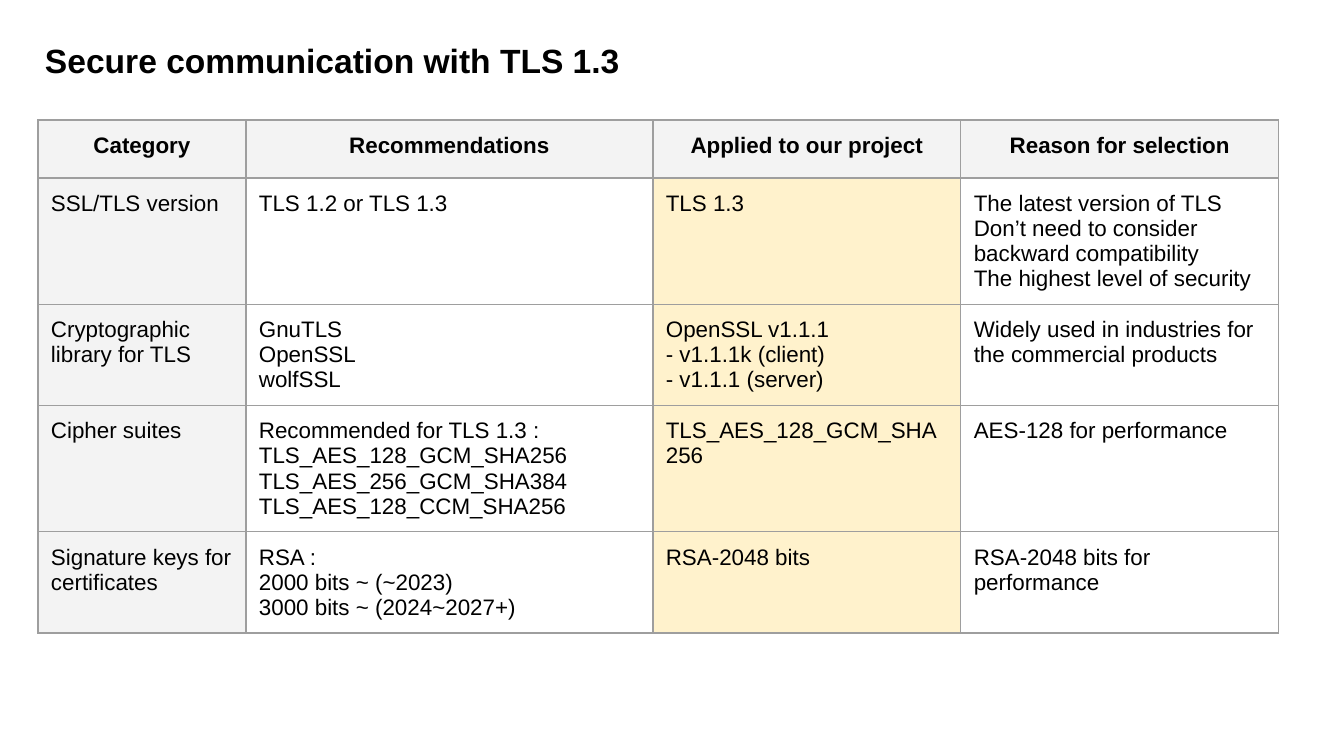
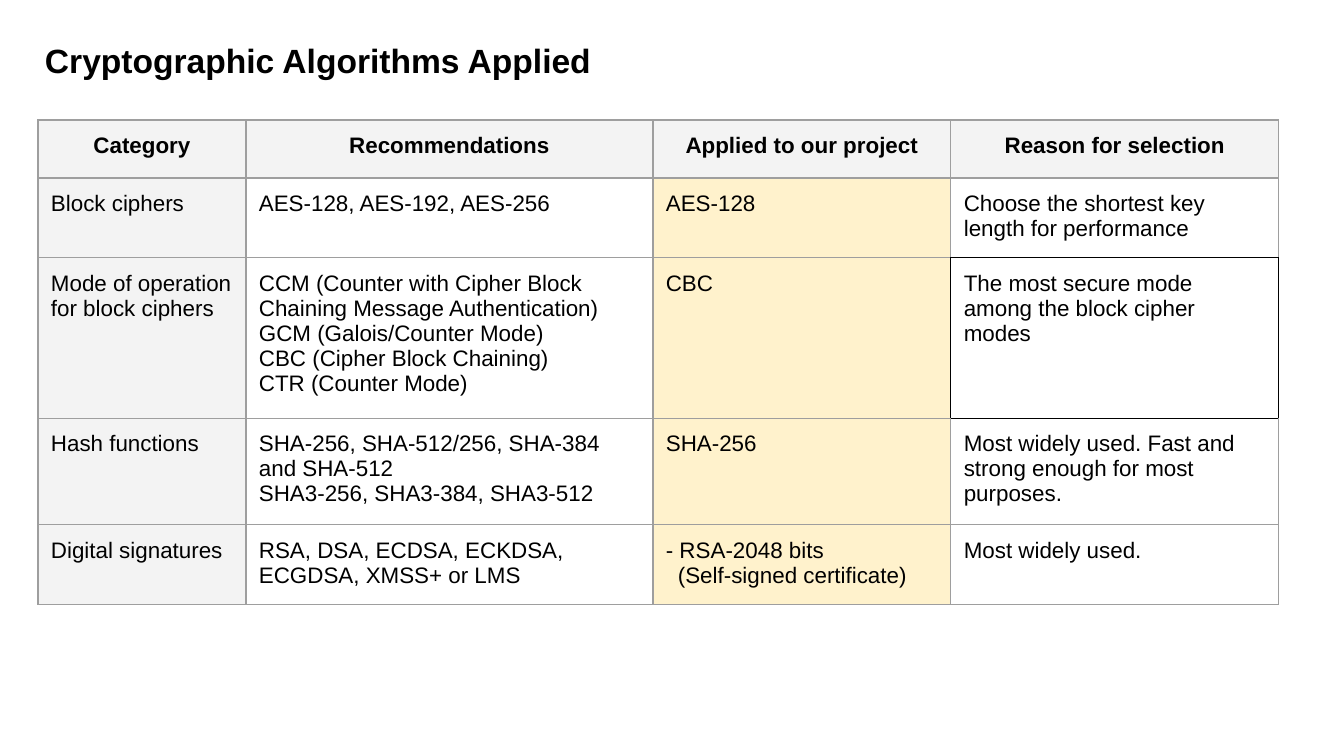
from dataclasses import dataclass

from lxml import etree
from pptx import Presentation
from pptx.dml.color import RGBColor
from pptx.enum.text import MSO_AUTO_SIZE, PP_ALIGN
from pptx.oxml.ns import qn
from pptx.util import Pt

CENTER, LEFT = PP_ALIGN.CENTER, PP_ALIGN.LEFT
FIT_SHAPE = MSO_AUTO_SIZE.SHAPE_TO_FIT_TEXT

HEADINGS = ("Category", "Recommendations", "Applied to our project", "Reason for selection")
APPLIED = HEADINGS.index("Applied to our project")

# Rows hold one string per column; each line of a string is a paragraph.
# "outlined" lists (row, column), "indented" lists (row, column, paragraph).
SLIDES = [
    {
        "title": "Secure communication with TLS 1.3",
        "columns": (208, 407, 308, 318),
        "heights": (58, 57, 57, 57, 57),
        "rows": [
            ("SSL/TLS version", "TLS 1.2 or TLS 1.3", "TLS 1.3",
             "The latest version of TLS\nDon’t need to consider backward compatibility\n"
             "The highest level of security"),
            ("Cryptographic library for TLS", "GnuTLS\nOpenSSL\nwolfSSL",
             "OpenSSL v1.1.1\n- v1.1.1k (client)\n- v1.1.1 (server)",
             "Widely used in industries for the commercial products"),
            ("Cipher suites",
             "Recommended for TLS 1.3 :\nTLS_AES_128_GCM_SHA256\n"
             "TLS_AES_256_GCM_SHA384\nTLS_AES_128_CCM_SHA256",
             "TLS_AES_128_GCM_SHA256", "AES-128 for performance"),
            ("Signature keys for certificates",
             "RSA :\n2000 bits ~ (~2023)\n3000 bits ~ (2024~2027+)",
             "RSA-2048 bits", "RSA-2048 bits for performance"),
        ],
        "outlined": [],
        "indented": [],
    },
    {
        "title": "Cryptographic Algorithms Applied",
        "columns": (208, 407, 298, 328),
        "heights": (58, 57, 132, 57, 57),
        "rows": [
            ("Block ciphers", "AES-128, AES-192, AES-256", "AES-128",
             "Choose the shortest key length for performance"),
            ("Mode of operation for block ciphers",
             "CCM (Counter with Cipher Block Chaining Message Authentication)\n"
             "GCM (Galois/Counter Mode)\nCBC (Cipher Block Chaining)\nCTR (Counter Mode)",
             "CBC", "The most secure mode among the block cipher modes"),
            ("Hash functions",
             "SHA-256, SHA-512/256, SHA-384 and SHA-512\nSHA3-256, SHA3-384, SHA3-512",
             "SHA-256", "Most widely used. Fast and strong enough for most purposes."),
            ("Digital signatures", "RSA, DSA, ECDSA, ECKDSA, ECGDSA, XMSS+ or LMS",
             "- RSA-2048 bits\n(Self-signed certificate)", "Most widely used."),
        ],
        "outlined": [(2, 3)],
        "indented": [(4, 2, 1)],
    },
]


@dataclass(frozen=True)
class Theme:
    font: str = "Arial"
    ink: str = "000000"
    label_fill: str = "F3F3F3"
    applied_fill: str = "FFF2CC"
    grid: str = "9E9E9E"
    outline: str = "000000"
    title_size: int = 18
    cell_size: int = 12
    border_width: float = 0.75


THEME = Theme()
PX_PER_INCH = 134.4
SLIDE_SIZE = (1344, 756)
TITLE_BOX = (32, 27, 1064, 67)
TABLE_CORNER = (38, 120)
INSET = 13
INDENT = 12
# Each border tag with the (row, column) step to the neighbour it is shared with.
SIDES = (("a:lnL", 0, -1), ("a:lnR", 0, 1), ("a:lnT", -1, 0), ("a:lnB", 1, 0))


def px(length):
    return round(length * 914400 / PX_PER_INCH)


def set_insets(target):
    target.margin_left = target.margin_right = px(INSET)
    target.margin_top = target.margin_bottom = px(INSET)


def write(frame, text, size, bold, align=LEFT):
    frame.text = text
    frame.word_wrap = True
    for paragraph in frame.paragraphs:
        paragraph.alignment = align
        for run in paragraph.runs:
            run.font.name = THEME.font
            run.font.size = Pt(size)
            run.font.bold = bold
            run.font.color.rgb = RGBColor.from_string(THEME.ink)


def add_title(slide, title):
    box = slide.shapes.add_textbox(*map(px, TITLE_BOX))
    set_insets(box.text_frame)
    write(box.text_frame, title, THEME.title_size, True)
    box.text_frame.auto_size = FIT_SHAPE


def draw_borders(cell, row, column, outlined):
    """Draw the grid, darkening every side that touches an outlined cell."""
    properties = cell._tc.get_or_add_tcPr()
    for tag, down, right in SIDES:
        touches = (row, column) in outlined or (row + down, column + right) in outlined
        line = etree.SubElement(properties, qn(tag), w=str(Pt(THEME.border_width)))
        fill = etree.SubElement(line, qn("a:solidFill"))
        etree.SubElement(fill, qn("a:srgbClr"), val=THEME.outline if touches else THEME.grid)


def fill_cell(cell, row, column):
    if row == 0 or column == 0:
        color = THEME.label_fill
    elif column == APPLIED:
        color = THEME.applied_fill
    else:
        cell.fill.background()
        return
    cell.fill.solid()
    cell.fill.fore_color.rgb = RGBColor.from_string(color)


def add_comparison(slide, content):
    rows = [HEADINGS, *content["rows"]]
    widths, heights = content["columns"], content["heights"]
    table = slide.shapes.add_table(
        len(rows), len(HEADINGS), *map(px, TABLE_CORNER), px(sum(widths)), px(sum(heights))
    ).table
    table.first_row = table.horz_banding = False
    for column, width in zip(table.columns, widths):
        column.width = px(width)
    for row, height in zip(table.rows, heights):
        row.height = px(height)

    for r, texts in enumerate(rows):
        heading = r == 0
        for c, text in enumerate(texts):
            cell = table.cell(r, c)
            set_insets(cell)
            write(cell.text_frame, text, THEME.cell_size, heading, CENTER if heading else LEFT)
            draw_borders(cell, r, c, content["outlined"])
            fill_cell(cell, r, c)

    for r, c, p in content["indented"]:
        paragraph = table.cell(r, c).text_frame.paragraphs[p]
        paragraph._p.get_or_add_pPr().set("marL", str(px(INDENT)))


def main():
    deck = Presentation()
    deck.slide_width, deck.slide_height = map(px, SLIDE_SIZE)
    blank = deck.slide_layouts[6]
    for content in SLIDES:
        slide = deck.slides.add_slide(blank)
        add_comparison(slide, content)
        add_title(slide, content["title"])
    deck.save("out.pptx")


if __name__ == "__main__":
    main()
